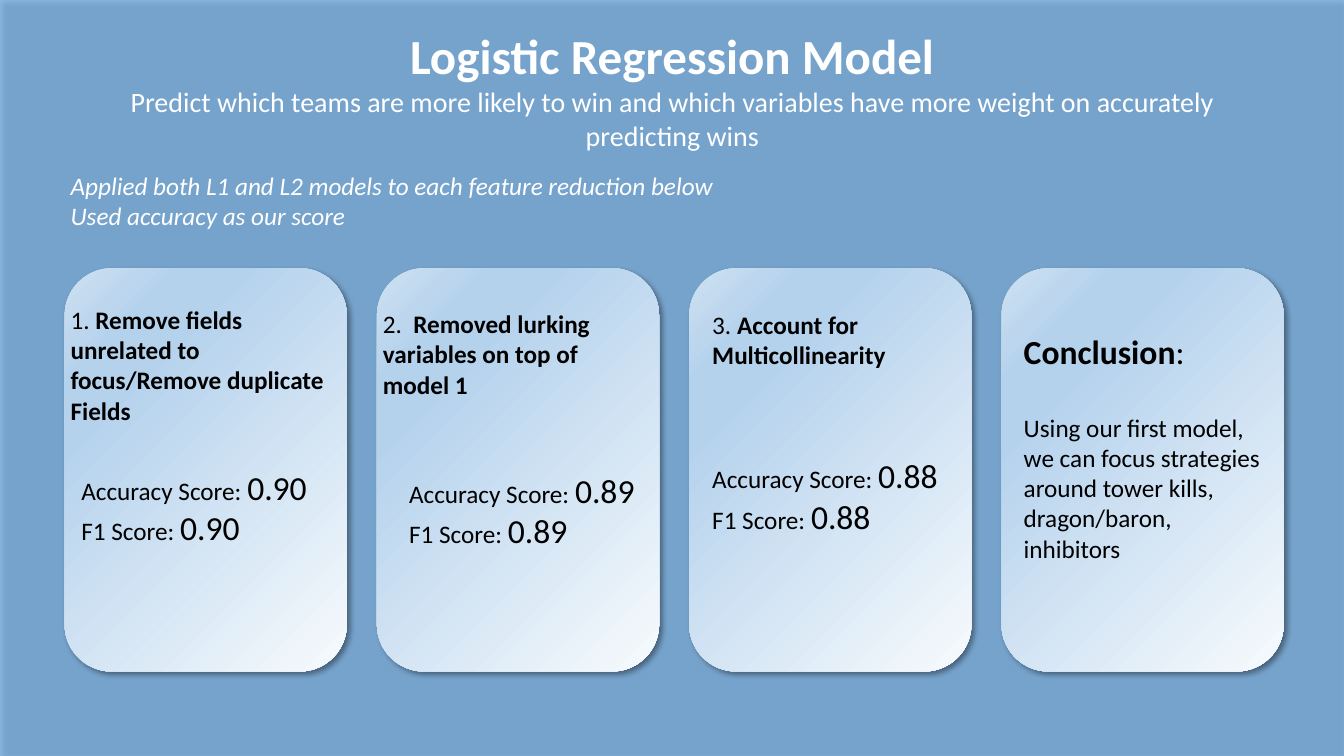
from dataclasses import dataclass

from lxml import etree
from pptx import Presentation
from pptx.dml.color import RGBColor
from pptx.enum import shapes, text
from pptx.oxml import ns
from pptx.util import Cm, Pt


@dataclass(frozen=True)
class Theme:
    font: str = "Calibri"
    backdrop: str = "5B9BD5"
    white: str = "FFFFFF"
    black: str = "000000"
    gradient: tuple = ((0, "F7FAFD"), (74, "B5D2EC"), (83, "B5D2EC"), (100, "CEE1F2"))
    title: int = 35
    large: int = 24
    subtitle: int = 20
    body: int = 18


THEME = Theme()


@dataclass(frozen=True)
class Run:
    text: str
    size: int = THEME.body
    bold: bool = False
    italic: bool = False


@dataclass(frozen=True)
class Block:
    """A text box in centimetres; each paragraph is a tuple of runs."""
    left: float
    top: float
    width: float
    height: float
    paragraphs: tuple
    color: str = THEME.black
    centered: bool = False
    shadow: bool = False
    gap: int = 0


@dataclass(frozen=True)
class Model:
    """A numbered heading and its scores, with their positions in centimetres."""
    number: str
    heading: str
    score: str
    heading_at: tuple
    heading_height: float
    score_at: tuple


MODELS = (
    Model("1. ", "Remove fields unrelated to focus/Remove duplicate Fields",
          "0.90", (1.53, 7.54), 3.33, (1.8, 11.63)),
    Model("2. ", " Removed lurking variables on top of model 1",
          "0.89", (9.4, 7.65), 2.56, (10.06, 11.71)),
    Model("3. ", "Account for Multicollinearity",
          "0.88", (17.7, 7.67), 1.8, (17.7, 11.35)),
)

CARD_LEFT, CARD_TOP, CARD_STEP = 1.63, 6.76, 7.87
CARD_WIDTH, CARD_HEIGHT = 7.11, 10.16
CARD_COUNT = len(MODELS) + 1


def sub(parent, tag: str, **attributes):
    """Append a DrawingML element."""
    values = {key: str(value) for key, value in attributes.items()}
    return etree.SubElement(parent, ns.qn(f"a:{tag}"), values)


def add_shadow(properties) -> None:
    effects = sub(properties, "effectLst")
    shadow = sub(effects, "outerShdw", blurRad=Pt(4), dist=Pt(3), dir=45 * 60000,
                 algn="tl", rotWithShape=0)
    sub(sub(shadow, "srgbClr", val=THEME.black), "alpha", val=40000)


def add_panel(s, kind, left: int, top: int, width: int, height: int):
    sp = s.shapes.add_shape(kind, left, top, width, height)
    sp.line.fill.background()
    add_shadow(sp._element.spPr)
    return sp


def add_card(s, left: float) -> None:
    sp = add_panel(s, shapes.MSO_SHAPE.ROUNDED_RECTANGLE, Cm(left), Cm(CARD_TOP),
                   Cm(CARD_WIDTH), Cm(CARD_HEIGHT))
    sp.fill.gradient()
    grad = sp._element.spPr.find(ns.qn("a:gradFill"))
    for child in list(grad):
        grad.remove(child)
    stops = sub(grad, "gsLst")
    for position, color in THEME.gradient:
        sub(sub(stops, "gs", pos=position * 1000), "srgbClr", val=color)
    sub(sub(grad, "path", path="circle"), "fillToRect", l=100000, t=100000)


def add_block(s, block: Block) -> None:
    sp = s.shapes.add_textbox(Cm(block.left), Cm(block.top),
                              Cm(block.width), Cm(block.height))
    tf = sp.text_frame
    tf.word_wrap = True
    for i, runs in enumerate(block.paragraphs):
        p = tf.add_paragraph() if i else tf.paragraphs[0]
        if block.centered:
            p.alignment = text.PP_ALIGN.CENTER
        if i:
            p.space_before = Pt(block.gap)
        for run in runs:
            r = p.add_run()
            r.text = run.text
            r.font.size = Pt(run.size)
            r.font.bold = run.bold
            r.font.italic = run.italic
            r.font.color.rgb = RGBColor.from_string(block.color)
            if block.shadow:
                add_shadow(r.font._element)
            r.font.name = THEME.font


def add_model(s, model: Model) -> None:
    add_block(s, Block(*model.heading_at, CARD_WIDTH, model.heading_height,
                       ((Run(model.number), Run(model.heading, bold=True)),)))
    scores = tuple((Run(label), Run(model.score, THEME.large))
                   for label in ("Accuracy Score: ", "F1 Score: "))
    add_block(s, Block(*model.score_at, 6.86, 2.31, scores))


prs = Presentation()
prs.slide_width, prs.slide_height = Cm(33.87), Cm(19.05)
s = prs.slides.add_slide(prs.slide_layouts[6])

# Translucent backdrop
backdrop = add_panel(s, shapes.MSO_SHAPE.RECTANGLE, 0, 0, prs.slide_width, prs.slide_height)
backdrop.fill.solid()
backdrop.fill.fore_color.rgb = RGBColor.from_string(THEME.backdrop)
sub(backdrop._element.spPr.find(f".//{ns.qn('a:srgbClr')}"), "alpha", val=70000)

# Title and approach
add_block(s, Block(1.63, 0.53, 30.63, 3.45, (
    (Run("Logistic Regression Model", THEME.title, bold=True),),
    (Run("Predict which teams are more likely to win and which variables "
         "have more weight on accurately predicting wins", THEME.subtitle),),
), THEME.white, centered=True, shadow=True))
add_block(s, Block(1.53, 4.17, 28.5, 1.8, (
    (Run("Applied both L1 and L2 models to each feature reduction below", italic=True),),
    (Run("Used accuracy as our score", italic=True),),
), THEME.white))

# Cards
for column in range(CARD_COUNT):
    add_card(s, CARD_LEFT + column * CARD_STEP)

# Models and conclusion
for model in MODELS:
    add_model(s, model)
add_block(s, Block(25.55, 8.22, 6.71, 7.17, (
    (Run("Conclusion", THEME.large, bold=True), Run(": ", THEME.large)),
    (Run("Using our first model, we can focus strategies around tower kills, "
         "dragon/baron, inhibitors"),),
), gap=29))

prs.save("out.pptx")
